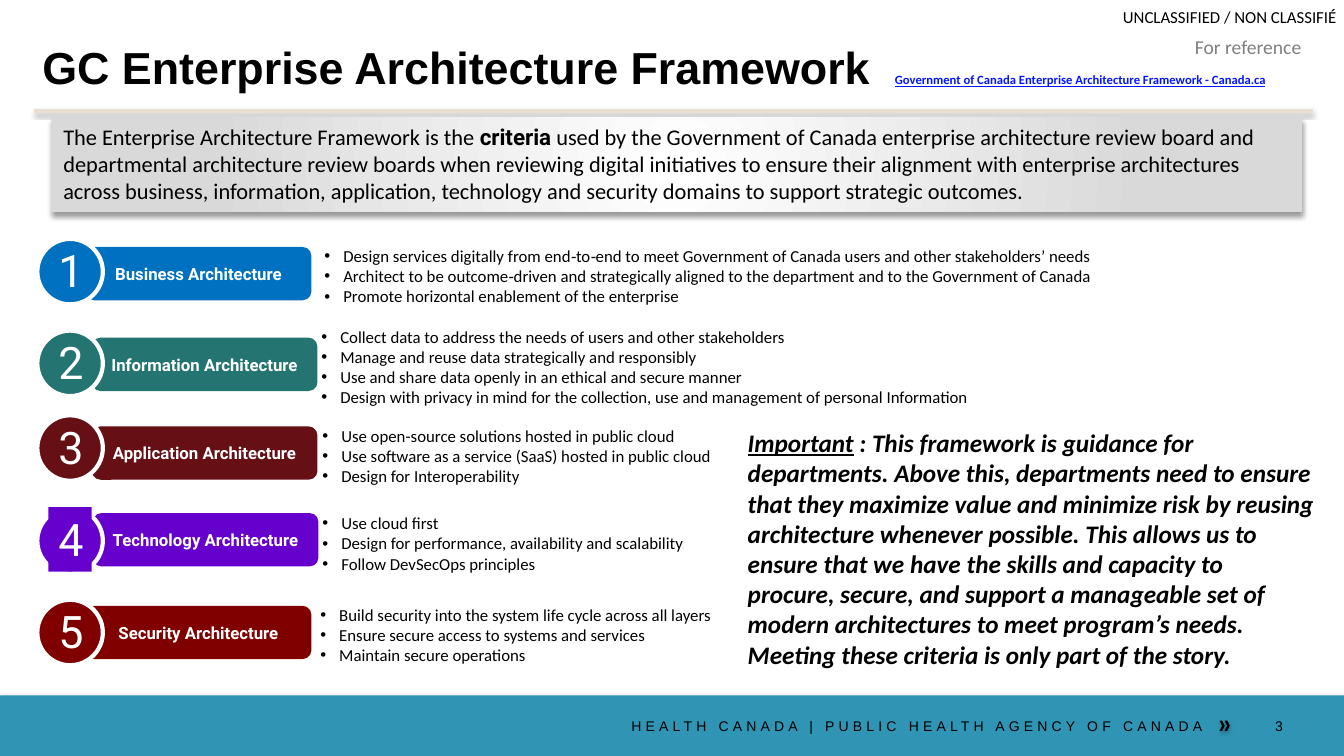
import pptx
import pptx.dml.color
import pptx.enum.shapes
import pptx.enum.text
import pptx.oxml
import pptx.oxml.ns
import pptx.util
from lxml import etree

SHAPE = pptx.enum.shapes.MSO_SHAPE
ALIGN = pptx.enum.text.PP_ALIGN
ANCHOR = pptx.enum.text.MSO_ANCHOR
RGB = pptx.dml.color.RGBColor.from_string
qn = pptx.oxml.ns.qn

# Text styles hold font, size, colour and emphasis.
THEME = {
    "colors": {"white": "FFFFFF", "edge": "D9D9D9", "footer": "3095B4", "mark": "000000", "rule": "E8DFD2"},
    "text": {
        "title": ("Arial", 32, "000000", "b"),
        "source": ("Calibri", 9, "0415FF", "bu"),
        "marking": ("Calibri", 12, "000000", ""),
        "reference": ("Calibri", 14, "808080", ""),
        "intro": ("Calibri", 16, "000000", ""),
        "intro key": ("Roboto", 16, "000000", "b"),
        "label": ("Roboto", 12, "FFFFFF", "b"),
        "number": ("Roboto", 32, "FFFFFF", ""),
        "bullet": ("Calibri", 12, "000000", ""),
        "note": ("Calibri", 18, "000000", "bi"),
        "note key": ("Calibri", 18, "000000", "biu"),
        "footer": ("Arial", 10, "000000", ""),
    },
}
COLORS = THEME["colors"]

deck = pptx.Presentation()
deck.slide_width = pptx.util.Inches(13.33)
deck.slide_height = pptx.util.Inches(7.5)
page = deck.slides.add_slide(deck.slide_layouts[6])

# A grid of 160 columns and 90 rows covers the slide.
COLUMN = deck.slide_width / 160
ROW = deck.slide_height / 90


def add_block(kind, left, top, width, height, fill=None, outline=None, shadow=None):
    """Add a preset shape, or a text box if kind is None, placed in grid units."""
    place = [round(n) for n in (left * COLUMN, top * ROW, width * COLUMN, height * ROW)]
    if kind is None:
        block = page.shapes.add_textbox(*place)
    else:
        block = page.shapes.add_shape(kind, *place)
        block.shadow.inherit = False
        block.line.fill.background()
    if fill:
        block.fill.solid()
        block.fill.fore_color.rgb = RGB(fill)
    if outline:
        block.line.color.rgb = RGB(outline)
        block.line.width = pptx.util.Pt(3)
    if shadow:
        block._element.spPr.find(qn("a:effectLst")).append(pptx.oxml.parse_xml(shadow))
    return block


def write(block, paragraphs, align=ALIGN.LEFT, anchor=ANCHOR.TOP, insets=None):
    """Fill a block with paragraphs, each a list of (text, style name) spans."""
    frame = block.text_frame
    frame.word_wrap = True
    frame.vertical_anchor = anchor
    if insets:
        (frame.margin_left, frame.margin_top,
         frame.margin_right, frame.margin_bottom) = [round(n * COLUMN) for n in insets]
    frame.text = "\n".join(spans[0][0] for spans in paragraphs)
    for para, spans in zip(frame.paragraphs, paragraphs):
        para.alignment = align
        for words, _ in spans[1:]:
            para.add_run().text = words
        for span, (_, style) in zip(para.runs, spans):
            name, size, color, emphasis = THEME["text"][style]
            span.font.name = name
            span.font.size = pptx.util.Pt(size)
            span.font.color.rgb = RGB(color)
            span.font.bold = "b" in emphasis
            span.font.italic = "i" in emphasis
            span.font.underline = "u" in emphasis
    return frame


SHADOW = (
    '<a:outerShdw xmlns:a="http://schemas.openxmlformats.org/drawingml/2006/main" '
    'blurRad="{}" dist="{}" dir="5400000" rotWithShape="0">'
    '<a:srgbClr val="000000"><a:alpha val="{}"/></a:srgbClr></a:outerShdw>'
)
soft_shadow = SHADOW.format(pptx.util.Pt(3.1), pptx.util.Pt(1.8), 35000)
deep_shadow = SHADOW.format(pptx.util.Pt(4), pptx.util.Pt(3), 40000)

# Header and footer
write(add_block(None, 133.68, 0.84, 25.92, 2.4),
      [[("UNCLASSIFIED / NON CLASSIFIÉ", "marking")]], insets=(0, 0, 0, 0))
add_block(SHAPE.RECTANGLE, 0, 82.8, 160, 7.2, COLORS["footer"], shadow=soft_shadow)
for chevron in range(2):
    add_block(SHAPE.CHEVRON, 145.2 + 0.6 * chevron, 85.8, 0.6, 1.2, COLORS["mark"], shadow=soft_shadow)

rule = page.shapes.add_connector(
    pptx.enum.shapes.MSO_CONNECTOR.STRAIGHT,
    round(4.08 * COLUMN), round(13.2 * ROW), round(156.36 * COLUMN), round(13.2 * ROW))
rule.line.color.rgb = RGB(COLORS["rule"])
rule.line.width = pptx.util.Pt(3)
rule_effects = etree.SubElement(rule._element.spPr, qn("a:effectLst"))
rule_effects.append(pptx.oxml.parse_xml(soft_shadow))

footer = write(add_block(None, 70.32, 85.44, 72.84, 2.64),
               [[("HEALTH CANADA | PUBLIC HEALTH AGENCY OF CANADA", "footer")]],
               align=ALIGN.RIGHT, insets=(0, 0, 0, 0.6))
footer.paragraphs[0].runs[0].font._element.set("spc", "300")
write(add_block(None, 150.6, 85.44, 6.72, 2.64), [[("3", "footer")]], insets=(1.2, 0, 1.2, 0.6))

title = write(add_block(None, 5.04, 3.6, 150, 8.76),
              [[("GC Enterprise Architecture Framework", "title"), ("\t", "title"),
                ("Government of Canada Enterprise Architecture Framework - Canada.ca", "source")]],
              anchor=ANCHOR.MIDDLE, insets=(0, 0, 0, 0))
tab_list = etree.SubElement(title.paragraphs[0]._p.get_or_add_pPr(), qn("a:tabLst"))
etree.SubElement(tab_list, qn("a:tab"), pos=str(round(101.5 * COLUMN)), algn="l")
write(add_block(None, 141, 3.6, 15.12, 4.08), [[("For reference", "reference")]], align=ALIGN.RIGHT)

# Architecture domains: name, colour, left and top of label, top of circle,
# left, top and width of bullets, bullets
domains = [
    ("Business Architecture", "0070C0", 10.2, 29.4, 28.44, 37.44, 28.68, 95, [
        "Design services digitally from end‑to‑end to meet Government of Canada users and other stakeholders’ needs",
        "Architect to be outcome‑driven and strategically aligned to the department and to the Government of Canada",
        "Promote horizontal enablement of the enterprise"]),
    ("Information Architecture", "247471", 10.92, 40.2, 39.36, 37.08, 38.28, 80.28, [
        "Collect data to address the needs of users and other stakeholders",
        "Manage and reuse data strategically and responsibly",
        "Use and share data openly in an ethical and secure manner",
        "Design with privacy in mind for the collection, use and management of personal Information"]),
    ("Application Architecture", "661016", 10.92, 50.76, 49.44, 37.2, 50.04, 48.84, [
        "Use open-source solutions hosted in public cloud",
        "Use software as a service (SaaS) hosted in public cloud",
        "Design for Interoperability"]),
    ("Technology Architecture", "6600CC", 11.04, 61.08, 60.48, 37.2, 60.48, 48.84, [
        "Use cloud first",
        "Design for performance, availability and scalability",
        "Follow DevSecOps principles"]),
    ("Security Architecture", "800000", 10.2, 72.12, 71.4, 36.96, 71.4, 50.28, [
        "Build security into the system life cycle across all layers",
        "Ensure secure access to systems and services",
        "Maintain secure operations"]),
]
for number, domain in enumerate(domains, 1):
    name, color, label_left, label_top, circle_top, list_left, list_top, list_width, points = domain
    label = add_block(SHAPE.ROUNDED_RECTANGLE, label_left, label_top, 26.88, 6.36, color)
    write(label, [[(name, "label")]], align=ALIGN.CENTER, anchor=ANCHOR.MIDDLE)
    add_block(SHAPE.OVAL, 4.44, circle_top, 7.8, 7.8, color, outline=COLORS["white"])
    number_fill = color if number == 4 else None
    write(add_block(None, 5.76, circle_top - 0.1, 5.16, 7.68, number_fill), [[(str(number), "number")]])

    bullets = add_block(None, list_left, list_top, list_width, 1.2 + 2.43 * len(points))
    for para in write(bullets, [[(point, "bullet")] for point in points]).paragraphs:
        properties = para._p.get_or_add_pPr()
        properties.set("marL", str(round(2.25 * COLUMN)))
        properties.set("indent", str(round(-2.25 * COLUMN)))
        etree.SubElement(properties, qn("a:buFont"), typeface="Arial")
        etree.SubElement(properties, qn("a:buChar"), char="•")

# Introduction banner, white in the centre and grey at the edges
banner = add_block(SHAPE.RECTANGLE, 6.12, 14.04, 148.92, 11.16, shadow=deep_shadow)
banner.fill.gradient()
for stop, color, position in zip(banner.fill.gradient_stops, ("white", "edge"), (0, 0.75)):
    stop.color.rgb = RGB(COLORS[color])
    stop.position = position
gradient = banner._element.spPr.find(qn("a:gradFill"))
gradient.remove(gradient.find(qn("a:lin")))
circle = etree.SubElement(gradient, qn("a:path"), path="circle")
etree.SubElement(circle, qn("a:fillToRect"), l="50000", t="50000", r="50000", b="50000")
write(add_block(None, 6.36, 14.04, 148.92, 10.92), [[
    ("The Enterprise Architecture Framework is the ", "intro"),
    ("criteria", "intro key"),
    (" used by the Government of Canada enterprise architecture review board and departmental "
     "architecture review boards when reviewing digital initiatives to ensure their alignment with "
     "enterprise architectures across business, information, application, technology and security "
     "domains to support strategic outcomes.", "intro")]])

write(add_block(None, 87.84, 50.28, 69.96, 30.24), [[
    ("Important", "note key"),
    (" : This framework is guidance for departments. Above this, departments need to ensure that they "
     "maximize value and minimize risk by reusing architecture whenever possible. This allows us to "
     "ensure that we have the skills and capacity to procure, secure, and support a manageable set of "
     "modern architectures to meet program’s needs. Meeting these criteria is only part of the story.",
     "note")]])

deck.save("out.pptx")
